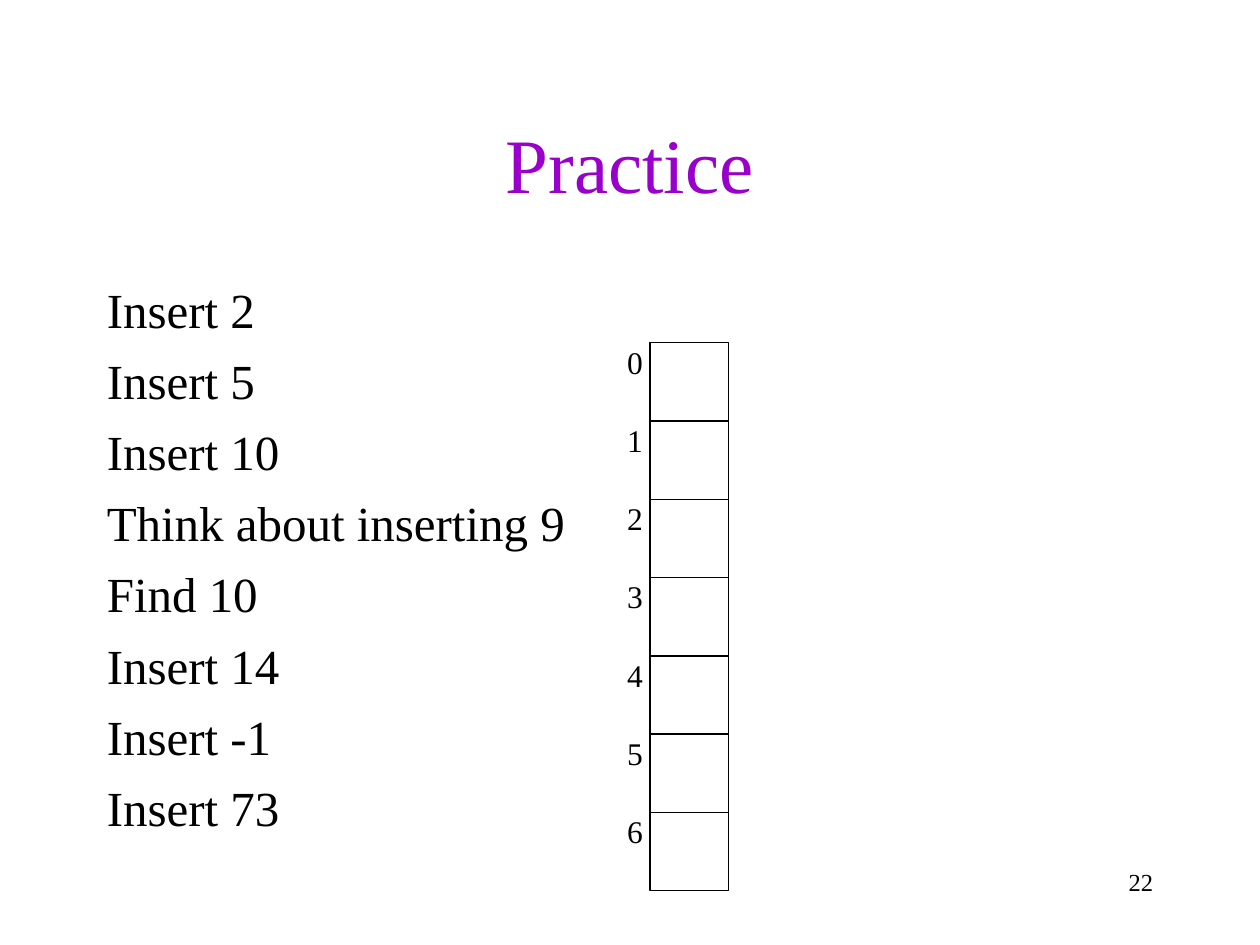
from dataclasses import dataclass

from pptx import Presentation
from pptx.dml.color import RGBColor
from pptx.enum.shapes import MSO_SHAPE
from pptx.enum.text import MSO_ANCHOR, PP_ALIGN
from pptx.shapes.base import BaseShape
from pptx.slide import Slide
from pptx.text.text import TextFrame
from pptx.util import Inches, Pt

BLACK = RGBColor(0x00, 0x00, 0x00)
PURPLE = RGBColor(0x99, 0x00, 0xCC)
FONT = "Times New Roman"
STEPS = ["Insert 2", "Insert 5", "Insert 10", "Think about inserting 9",
         "Find 10", "Insert 14", "Insert -1", "Insert 73"]
SLOTS = 7


@dataclass(frozen=True)
class Box:
    left: float
    top: float
    width: float
    height: float

    def place(self, sp: BaseShape) -> None:
        sp.left, sp.top = Inches(self.left), Inches(self.top)
        sp.width, sp.height = Inches(self.width), Inches(self.height)


@dataclass(frozen=True)
class Column:
    left: float
    top: float
    cell: float

    def slot(self, row: int) -> Box:
        return Box(self.left, self.top + row * self.cell, self.cell, self.cell)

    def label(self, row: int) -> Box:
        return Box(self.left - 0.28, self.top + row * self.cell - 0.05, 0.33, 0.4)


def write(tf: TextFrame, lines: list[str], size: int, color: RGBColor = BLACK,
          align: PP_ALIGN = PP_ALIGN.LEFT, before: float = 0) -> None:
    tf.text = "\n".join(lines)
    for p in tf.paragraphs:
        p.alignment = align
        p.space_before = Pt(before)
        p.font.name = FONT
        p.font.size = Pt(size)
        p.font.color.rgb = color


def add_text(slide: Slide, box: Box, lines: list[str], size: int, wrap: bool = True,
             align: PP_ALIGN = PP_ALIGN.LEFT, before: float = 0) -> None:
    sp = slide.shapes.add_textbox(0, 0, 0, 0)
    box.place(sp)
    sp.text_frame.word_wrap = wrap
    write(sp.text_frame, lines, size, align=align, before=before)


def add_slot(slide: Slide, box: Box) -> None:
    sp = slide.shapes.add_shape(MSO_SHAPE.RECTANGLE, 0, 0, 0, 0)
    box.place(sp)
    sp.shadow.inherit = False
    sp.fill.background()
    sp.line.color.rgb = BLACK
    sp.line.width = Pt(0.75)


def main() -> None:
    prs = Presentation()
    prs.slide_width, prs.slide_height = Inches(10), Inches(7.5)
    slide = prs.slides.add_slide(prs.slide_layouts[5])

    title = slide.shapes.title
    Box(0.75, 0.67, 8.5, 1.25).place(title)
    title.text_frame.vertical_anchor = MSO_ANCHOR.MIDDLE
    write(title.text_frame, ["Practice"], 44, PURPLE, PP_ALIGN.CENTER)

    add_text(slide, Box(0.75, 2.17, 5.5, 4.5), STEPS, 28, before=7)

    table = Column(left=5.16, top=2.72, cell=4.35 / SLOTS)
    for row in range(SLOTS):
        add_slot(slide, table.slot(row))
        add_text(slide, table.label(row), [str(row)], 18, wrap=False)

    add_text(slide, Box(7.17, 6.83, 2.08, 0.5), ["22"], 14, align=PP_ALIGN.RIGHT)
    prs.save("out.pptx")


if __name__ == "__main__":
    main()
